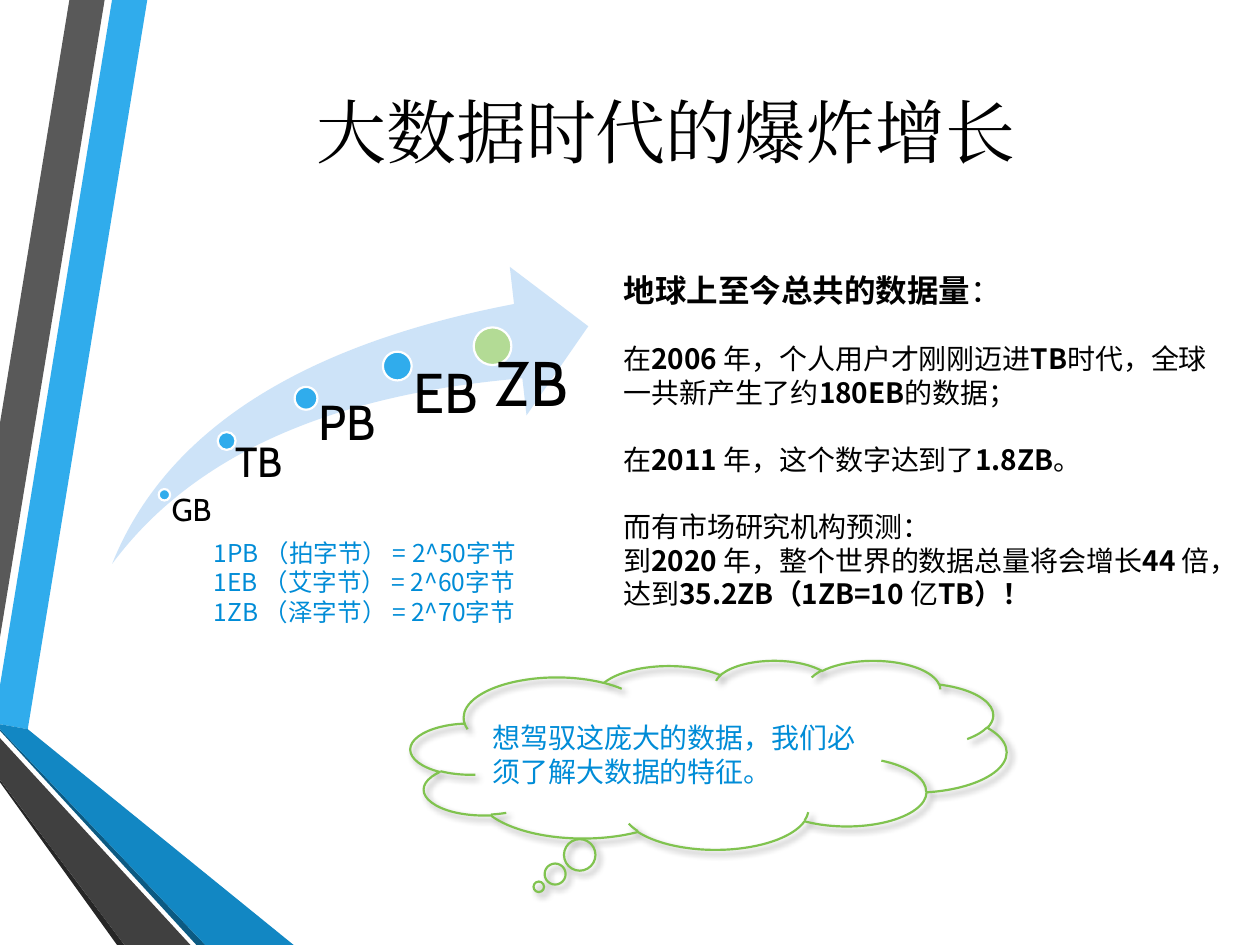
from dataclasses import dataclass

from lxml.etree import SubElement
from pptx import Presentation
from pptx.dml.color import RGBColor
from pptx.enum.shapes import MSO_SHAPE
from pptx.enum.text import MSO_ANCHOR, MSO_AUTO_SIZE, PP_ALIGN
from pptx.oxml.ns import qn
from pptx.util import Cm, Pt

BLACK = RGBColor(0x00, 0x00, 0x00)
WHITE = RGBColor(0xFF, 0xFF, 0xFF)
BLUE = RGBColor(0x30, 0xAC, 0xEC)
MID = RGBColor(0x12, 0x87, 0xC3)
DEEP = RGBColor(0x0C, 0x5A, 0x82)
INK = RGBColor(0x00, 0x8C, 0xD7)
PALE = RGBColor(0xCD, 0xE3, 0xF8)
LIME = RGBColor(0xB3, 0xDB, 0x95)
GREEN = RGBColor(0x80, 0xC3, 0x4F)
GRAY = RGBColor(0x59, 0x59, 0x59)
DARK = RGBColor(0x40, 0x40, 0x40)
COAL = RGBColor(0x26, 0x26, 0x26)
SANS = "Noto Sans CJK SC"


@dataclass
class Box:
    left: float
    top: float
    width: float
    height: float

    def cm(self) -> tuple:
        return Cm(self.left), Cm(self.top), Cm(self.width), Cm(self.height)


@dataclass
class Band:
    color: RGBColor
    points: tuple


@dataclass
class Step:
    name: str
    size: int
    dot: Box
    label: Box
    inset: float
    color: RGBColor = BLUE


@dataclass
class Para:
    runs: tuple
    size: int = 16
    gap: float = 0
    bold: bool = False


BANDS = (
    Band(BLUE, ((0, 13.82), (0, 14.6), (0.56, 14.7), (2.97, 0), (2.26, 0))),
    Band(GRAY, ((2.11, 0), (1.4, 0), (0, 8.53), (0, 12.85))),
    Band(COAL, ((0, 15.72), (0, 15.77), (2.36, 19.05), (2.51, 19.05))),
    Band(DEEP, ((0, 14.7), (0, 14.73), (3.96, 19.05), (4.14, 19.05))),
    Band(MID, ((0, 14.7), (4.14, 19.05), (5.92, 19.05), (0.56, 14.7), (0, 14.6))),
    Band(DARK, ((0, 15.72), (2.51, 19.05), (3.84, 19.05), (0, 14.88))),
)

STEPS = (
    Step("GB", 18, Box(3.2, 9.86, 0.23, 0.23), Box(3.33, 9.96, 1.27, 1.42), 0.13),
    Step("TB", 24, Box(4.39, 8.71, 0.36, 0.36), Box(4.57, 8.89, 1.6, 2.51), 0.18),
    Step("PB", 28, Box(5.94, 7.8, 0.46, 0.46), Box(6.17, 8.03, 1.85, 3.38), 0.25),
    Step("EB", 32, Box(7.72, 7.09, 0.58, 0.58), Box(8.03, 7.37, 1.93, 4.01), 0.3),
    Step("ZB", 36, Box(9.55, 6.6, 0.76, 0.76), Box(9.58, 7.09, 1.93, 4.42), 0.41, LIME),
)

UNITS = tuple(
    Para((f"1{unit} （{name}字节） = 2^{power}字节",), 14)
    for unit, name, power in (("PB", "拍", 50), ("EB", "艾", 60), ("ZB", "泽", 70))
)

FACTS = (
    Para(("地球上至今总共的数据量", "："), 18, bold=True),
    Para(("在", "2006 ", "年，个人用户才刚刚迈进", "TB",
          "时代，全球一共新产生了约", "180EB", "的数据；"), gap=19.2),
    Para(("在", "2011 ", "年，这个数字达到了", "1.8ZB", "。"), gap=19.2),
    Para(("而有市场研究机构预测：",), gap=19.2),
    Para(("到", "2020 ", "年，整个世界的数据总量将会增长", "44 ", "倍，达到",
          "35.2ZB（1ZB=10 ", "亿", "TB）！")),
)

THOUGHT = (Para(("想驾驭这庞大的数据，我们必须了解大数据的特征。",)),)


def add_run(para, text: str, size: int, face: str, color: RGBColor, bold: bool = False) -> None:
    run = para.add_run()
    run.text = text
    font = run.font
    font.size = Pt(size)
    font.bold = bold
    font.color.rgb = color
    font.name = face
    SubElement(run._r.get_or_add_rPr(), qn("a:ea"), typeface=face)


def add_text(slide, box: Box, paras: tuple, color: RGBColor) -> None:
    frame = slide.shapes.add_textbox(*box.cm()).text_frame
    frame.word_wrap = True
    frame.auto_size = MSO_AUTO_SIZE.SHAPE_TO_FIT_TEXT
    for index, item in enumerate(paras):
        para = frame.add_paragraph() if index else frame.paragraphs[0]
        if item.gap:
            para.space_before = Pt(item.gap)
        bold = item.bold
        for text in item.runs:
            add_run(para, text, item.size, SANS, color, bold)
            bold = not bold


def paint(shape, fill: RGBColor | None, line: RGBColor | None = None) -> None:
    shape.shadow.inherit = False
    if fill is None:
        shape.fill.background()
    else:
        shape.fill.solid()
        shape.fill.fore_color.rgb = fill
    if line is None:
        shape.line.fill.background()
    else:
        shape.line.color.rgb = line
        shape.line.width = Pt(1.25)


def add_band(slide, band: Band) -> None:
    points = [(Cm(x), Cm(y)) for x, y in band.points]
    pen = slide.shapes.build_freeform(*points[0])
    pen.add_line_segments(points[1:], close=True)
    paint(pen.convert_to_shape(), band.color)


def add_title(slide) -> None:
    title = slide.shapes.title
    title.left, title.top, title.width, title.height = Box(2.72, 1.27, 21.41, 2.74).cm()
    frame = title.text_frame
    frame.vertical_anchor = MSO_ANCHOR.MIDDLE
    para = frame.paragraphs[0]
    para.alignment = PP_ALIGN.CENTER
    add_run(para, "大数据时代的爆炸增长", 40, "Times New Roman", BLACK)


def add_arrow(slide) -> None:
    arrow = slide.shapes.add_shape(MSO_SHAPE.SWOOSH_ARROW, *Box(2.26, 5.38, 9.6, 5.99).cm())
    arrow.adjustments[0] = 0.25
    arrow.adjustments[1] = 0.25
    paint(arrow, PALE)


def add_step(slide, step: Step) -> None:
    dot = slide.shapes.add_shape(MSO_SHAPE.OVAL, *step.dot.cm())
    paint(dot, step.color, WHITE)
    frame = slide.shapes.add_textbox(*step.label.cm()).text_frame
    frame.word_wrap = True
    frame.margin_left = Cm(step.inset)
    frame.margin_top = frame.margin_right = frame.margin_bottom = 0
    para = frame.paragraphs[0]
    para.line_spacing = 0.9
    add_run(para, step.name, step.size, "Cabin", BLACK)


def add_cloud(slide) -> None:
    cloud = slide.shapes.add_shape(MSO_SHAPE.CLOUD_CALLOUT, *Box(8.28, 13.31, 12.01, 3.81).cm())
    cloud.adjustments[0] = -0.285
    cloud.adjustments[1] = 0.699
    paint(cloud, None, GREEN)
    effects = cloud._element.spPr.find(qn("a:effectLst"))
    shade = SubElement(effects, qn("a:outerShdw"), blurRad=str(Pt(4)), dist=str(Pt(3)),
                       dir="2700000", algn="tl", rotWithShape="0")
    tint = SubElement(shade, qn("a:srgbClr"), val=str(BLACK))
    SubElement(tint, qn("a:alpha"), val="40000")


def main() -> None:
    deck = Presentation()
    deck.slide_width, deck.slide_height = Cm(25.4), Cm(19.05)
    slide = deck.slides.add_slide(deck.slide_layouts[5])
    for band in BANDS:
        add_band(slide, band)
    add_title(slide)
    add_arrow(slide)
    for step in STEPS:
        add_step(slide, step)
    add_text(slide, Box(4.06, 10.72, 7.21, 2.06), UNITS, INK)
    add_text(slide, Box(12.32, 5.33, 12.7, 7.19), FACTS, BLACK)
    add_text(slide, Box(9.68, 14.4, 8.13, 1.63), THOUGHT, INK)
    add_cloud(slide)
    deck.save("out.pptx")


if __name__ == "__main__":
    main()
